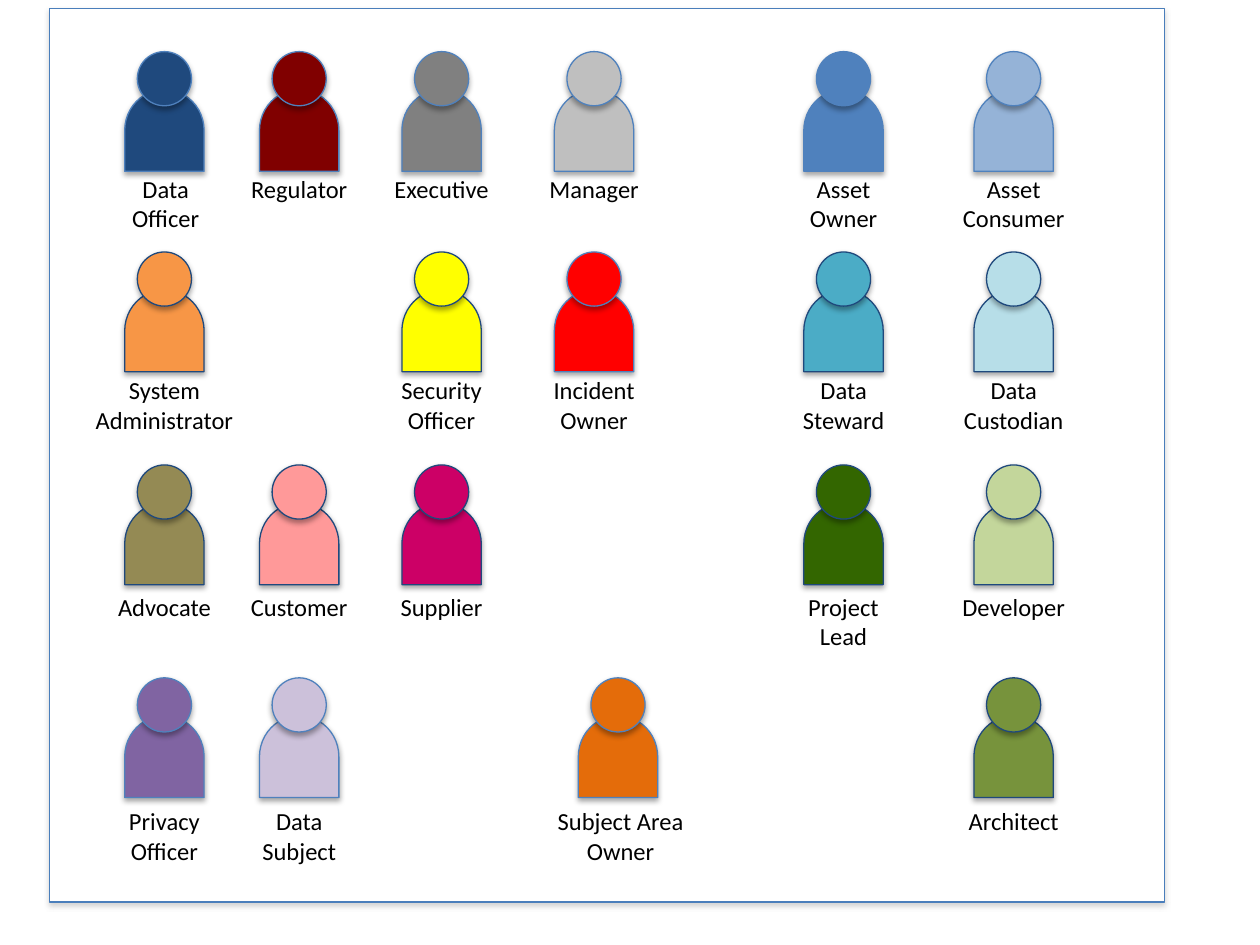
from dataclasses import dataclass

import lxml.etree
import pptx
import pptx.dml.color
import pptx.enum.shapes
import pptx.enum.text
import pptx.oxml.ns
import pptx.util

Inches = pptx.util.Inches
Shapes = pptx.enum.shapes.MSO_SHAPE
AutoSize = pptx.enum.text.MSO_AUTO_SIZE

BLUE = "4F81BD"
NAVY = "1F497D"
HEAD_SIZE = 0.43
BODY_WIDTH, BODY_HEIGHT = 0.65, 0.63
BODY_DROP = 0.31  # from the top of the head to the top of the body frame

# Left edges of the figures in each column
OFFICE, PUBLIC, SECURITY, MANAGEMENT, OWNERS, USERS = 0.98, 2.05, 3.18, 4.39, 6.37, 7.72
SUBJECT_AREA = 4.58


@dataclass(frozen=True)
class Row:
    head_top: float
    label_top: float
    wrap: bool = True


@dataclass(frozen=True)
class Role:
    row: Row
    left: float
    label: str  # a line feed starts a new paragraph
    fill: str
    line: str = NAVY
    label_width: float = 1.02
    label_shift: float = 0.0

    @property
    def center(self) -> float:
        return self.left + BODY_WIDTH / 2


FIRST = Row(0.41, 1.33)
SECOND = Row(2.0, 2.93)
THIRD = Row(3.69, 4.65, wrap=False)
FOURTH = Row(5.38, 6.35)

ROLES = [
    Role(FIRST, OFFICE, "Data\nOfficer", NAVY, BLUE, 1.37, 0.01),
    Role(FIRST, PUBLIC, "Regulator", "800000", BLUE),
    Role(FIRST, SECURITY, "Executive", "808080", BLUE),
    Role(FIRST, MANAGEMENT, "Manager", "BFBFBF", BLUE),
    Role(FIRST, OWNERS, "Asset\nOwner", BLUE, BLUE),
    Role(FIRST, USERS, "Asset\nConsumer", "95B3D7", BLUE),
    Role(SECOND, OFFICE, "System Administrator", "F79646", label_width=1.31),
    Role(SECOND, SECURITY, "Security\nOfficer", "FFFF00"),
    Role(SECOND, MANAGEMENT, "Incident\nOwner", "FF0000", BLUE),
    Role(SECOND, OWNERS, "Data Steward", "4BACC6"),
    Role(SECOND, USERS, "Data Custodian", "B7DEE8"),
    Role(THIRD, OFFICE, "Advocate", "948A54", label_width=0.95),
    Role(THIRD, PUBLIC, "Customer", "FF9999"),
    Role(THIRD, SECURITY, "Supplier", "CC0066", label_width=0.86),
    Role(THIRD, OWNERS, "Project\nLead", "336600", label_width=0.77),
    Role(THIRD, USERS, "Developer", "C3D69B"),
    Role(FOURTH, OFFICE, "Privacy Officer", "8064A2", BLUE),
    Role(FOURTH, PUBLIC, "Data Subject", "CCC1DA", BLUE),
    Role(FOURTH, SUBJECT_AREA, "Subject Area Owner", "E46C0A", BLUE, 1.31, 0.02),
    Role(FOURTH, USERS, "Architect", "77933C", label_width=1.12),
]


def color(value: str) -> pptx.dml.color.RGBColor:
    return pptx.dml.color.RGBColor.from_string(value)


def add_shadow(shape, value: str) -> None:
    """Give the shape a soft shadow straight below it."""
    shape.shadow.inherit = False
    effects = shape._element.spPr.find(pptx.oxml.ns.qn("a:effectLst"))
    shadow = lxml.etree.SubElement(
        effects, pptx.oxml.ns.qn("a:outerShdw"),
        blurRad="40000", dist="23000", dir="5400000", rotWithShape="0")
    tint = lxml.etree.SubElement(shadow, pptx.oxml.ns.qn("a:srgbClr"), val=value)
    lxml.etree.SubElement(tint, pptx.oxml.ns.qn("a:alpha"), val="35000")


def add_outlined(shapes, kind, left: float, top: float, width: float, height: float,
                 fill: str, line: str, shadow: str = "000000"):
    shape = shapes.add_shape(kind, Inches(left), Inches(top), Inches(width), Inches(height))
    shape.fill.solid()
    shape.fill.fore_color.rgb = color(fill)
    shape.line.color.rgb = color(line)
    shape.line.width = pptx.util.Pt(0.75)
    add_shadow(shape, shadow)
    return shape


def add_person(page, role: Role) -> None:
    person = page.shapes.add_group_shape()
    top = role.row.head_top
    body = add_outlined(person.shapes, Shapes.FLOWCHART_DELAY, role.left, top + BODY_DROP,
                        BODY_WIDTH, BODY_HEIGHT, role.fill, role.line)
    body.rotation = 270
    add_outlined(person.shapes, Shapes.OVAL, role.center - HEAD_SIZE / 2, top,
                 HEAD_SIZE, HEAD_SIZE, role.fill, role.line)


def add_label(page, role: Role) -> None:
    height = 0.57 if " " in role.label or "\n" in role.label else 0.34
    left = role.center + role.label_shift - role.label_width / 2
    box = page.shapes.add_textbox(Inches(left), Inches(role.row.label_top),
                                  Inches(role.label_width), Inches(height))
    frame = box.text_frame
    frame.word_wrap = role.row.wrap
    frame.auto_size = AutoSize.SHAPE_TO_FIT_TEXT
    frame.text = role.label
    for para in frame.paragraphs:
        para.alignment = pptx.enum.text.PP_ALIGN.CENTER
        for span in para.runs:
            span.font.name = "Calibri"
            span.font.size = pptx.util.Pt(14)
            span.font.color.rgb = color("000000")


deck = pptx.Presentation()
deck.slide_width, deck.slide_height = Inches(10), Inches(7.5)
page = deck.slides.add_slide(deck.slide_layouts[6])

# Panel behind all roles
add_outlined(page.shapes, Shapes.RECTANGLE, 0.39, 0.07, 8.85, 7.09,
             "FFFFFF", "4A7EBB", "808080")

# One figure and one label for each role
for role in ROLES:
    add_person(page, role)
    add_label(page, role)

deck.save("out.pptx")
